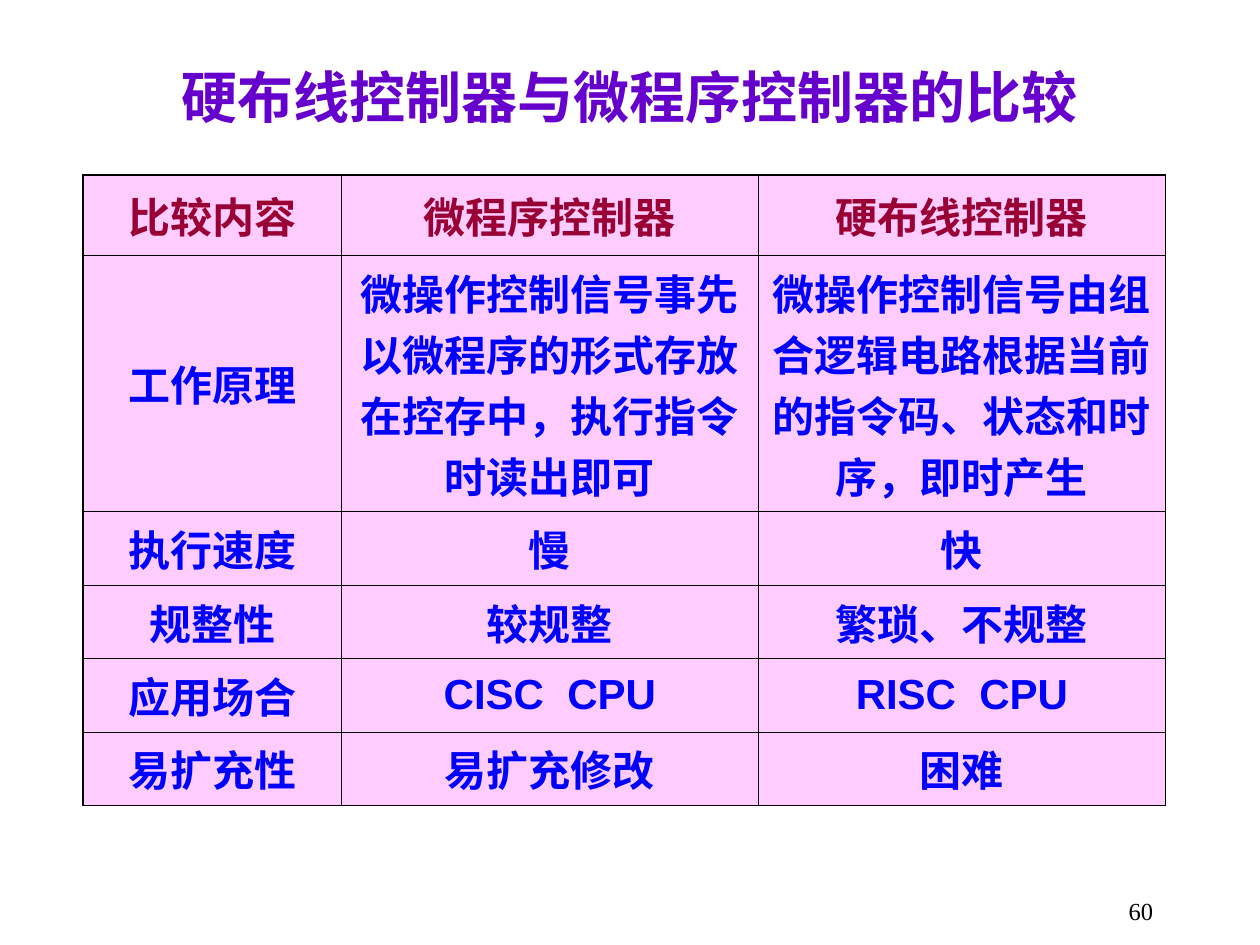
import pptx
import pptx.util
from lxml import etree
from pptx.dml.color import RGBColor
from pptx.enum.text import MSO_ANCHOR, PP_ALIGN
from pptx.oxml.ns import qn

SLIDE_W, SLIDE_H = pptx.util.Inches(10), pptx.util.Inches(7.5)
PURPLE = RGBColor(0x66, 0x00, 0xCC)
MAROON = RGBColor(0x99, 0x00, 0x33)
BLUE = RGBColor(0x00, 0x00, 0xFF)
PINK = RGBColor(0xFF, 0xCC, 0xFF)
BLACK = RGBColor(0x00, 0x00, 0x00)
CJK_FONT = "Noto Sans CJK SC"
THIN, THICK = 0.45, 1.08

COL_WIDTHS = [2.05, 3.31, 3.23]
ROW_HEIGHTS = [0.64, 2.03] + [3.5 / 6] * 4
COMPARISON = [
    ["比较内容", "微程序控制器", "硬布线控制器"],
    ["工作原理",
     "微操作控制信号事先以微程序的形式存放在控存中，执行指令时读出即可",
     "微操作控制信号由组合逻辑电路根据当前的指令码、状态和时序，即时产生"],
    ["执行速度", "慢", "快"],
    ["规整性", "较规整", "繁琐、不规整"],
    ["应用场合", "CISC  CPU", "RISC  CPU"],
    ["易扩充性", "易扩充修改", "困难"],
]


def write(tf, text, size, font, color, bold=False, align=PP_ALIGN.CENTER):
    tf.text = text
    p = tf.paragraphs[0]
    p.alignment = align
    r = p.runs[0]
    r.font.size = pptx.util.Pt(size)
    r.font.bold = bold
    r.font.color.rgb = color
    r.font.name = font
    etree.SubElement(r.font._element, qn("a:ea"), typeface=CJK_FONT)


def add_text(s, left, top, width, height, anchor, *text_args, **text_format):
    """Add a text box placed by shares of the slide's size."""
    sp = s.shapes.add_textbox(int(SLIDE_W * left), int(SLIDE_H * top),
                              int(SLIDE_W * width), int(SLIDE_H * height))
    tf = sp.text_frame
    tf.word_wrap = True
    tf.vertical_anchor = anchor
    write(tf, *text_args, **text_format)


def set_borders(cell, **widths):
    """Draw black cell borders; the keys are the sides L, R, T and B."""
    tc_pr = cell._tc.get_or_add_tcPr()
    for side, width in widths.items():
        ln = etree.SubElement(tc_pr, qn(f"a:ln{side}"), w=str(pptx.util.Pt(width)))
        fill = etree.SubElement(ln, qn("a:solidFill"))
        etree.SubElement(fill, qn("a:srgbClr"), val=str(BLACK))


def add_comparison_table(s, left, top):
    n_rows, n_cols = len(ROW_HEIGHTS), len(COL_WIDTHS)
    table = s.shapes.add_table(
        n_rows, n_cols, pptx.util.Inches(left), pptx.util.Inches(top),
        pptx.util.Inches(sum(COL_WIDTHS)), pptx.util.Inches(sum(ROW_HEIGHTS))).table
    table.first_row = table.horz_banding = False
    for column, width in zip(table.columns, COL_WIDTHS):
        column.width = pptx.util.Inches(width)
    for row, height in zip(table.rows, ROW_HEIGHTS):
        row.height = pptx.util.Inches(height)

    for i, texts in enumerate(COMPARISON):
        for j, text in enumerate(texts):
            cell = table.cell(i, j)
            cell.vertical_anchor = MSO_ANCHOR.MIDDLE
            set_borders(cell,
                        L=THICK if j == 0 else THIN,
                        R=THICK if j == n_cols - 1 else THIN,
                        T=THICK if i == 0 else THIN,
                        B=THICK if i == n_rows - 1 else THIN)
            cell.fill.solid()
            cell.fill.fore_color.rgb = PINK
            write(cell.text_frame, text, 24, "Arial",
                  MAROON if i == 0 else BLUE, bold=True)


def main():
    prs = pptx.Presentation()
    prs.slide_width, prs.slide_height = SLIDE_W, SLIDE_H
    s = prs.slides.add_slide(prs.slide_layouts[6])
    add_text(s, 7.17 / 10, 7.06 / 7.5, 2.08 / 10, 0.28 / 7.5, MSO_ANCHOR.TOP,
             "60", 14, "Times New Roman", BLACK, align=PP_ALIGN.RIGHT)
    add_text(s, 0.75 / 10, 0.36 / 7.5, 8.5 / 10, 0.8 / 7.5, MSO_ANCHOR.MIDDLE,
             "硬布线控制器与微程序控制器的比较", 32, CJK_FONT, PURPLE, bold=True)
    add_comparison_table(s, 0.66, 1.39)
    prs.save("out.pptx")


if __name__ == "__main__":
    main()
